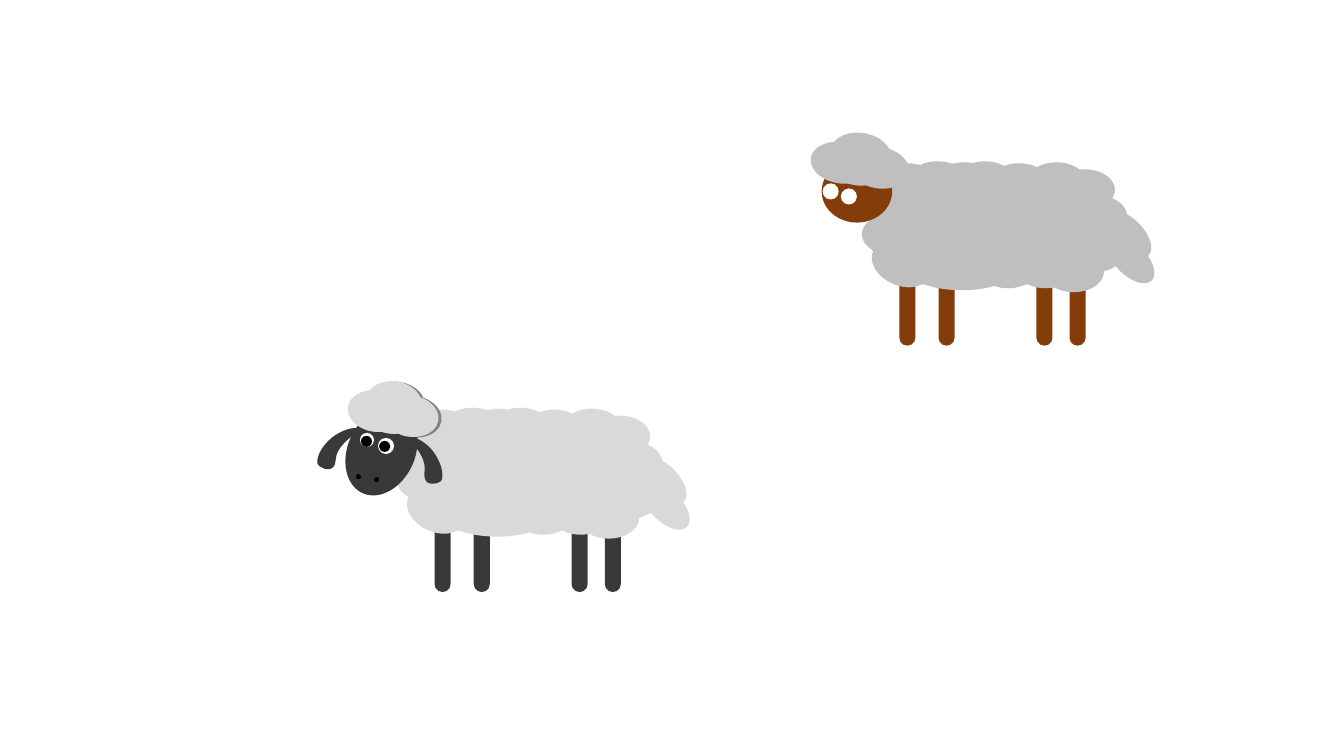
from dataclasses import dataclass

from pptx import Presentation
from pptx.dml.color import RGBColor
from pptx.enum.shapes import MSO_SHAPE
from pptx.util import Pt


@dataclass(frozen=True)
class Theme:
    brown: str = "843C0B"
    charcoal: str = "3B3838"
    grey_wool: str = "BFBFBF"
    pale_wool: str = "D9D9D9"
    shade: str = "808080"
    white: str = "FFFFFF"
    black: str = "000000"


THEME = Theme()
SLIDE_SIZE = (960, 540)
TUFT_SIZE = (43.2, 29.5)
LEG_LEFTS = (63.4, 91.4, 185, 161.3)
TOP_TUFTS = (
    (69.1, 20.2), (47.5, 21.6), (103, 20.2), (87.8, 20.9),
    (127.4, 21.6), (154.1, 20.9), (174.2, 25.9),
)
ROW_SHIFTS = ((0, 0), (-5.5, 13.9), (-10.8, 36))
LOWER_TUFTS = (
    (61.2, 77.8, 43.2, 0), (42.5, 79.2, 43.2, 26.1), (95, 78.5, 43.2, 0),
    (69.8, 82.8, 76.3, 0), (119.5, 81.4, 43.2, 0), (146.2, 81.4, 43.2, 0),
    (166.3, 84.2, 43.2, 0), (181.4, 69.8, 43.2, 0), (182.9, 44.6, 43.2, 0),
)
TAIL_TUFTS = ((205.2, 61.2), (207.4, 79.2))
CAP_TUFTS = ((12.2, 7.9), (27.4, 10.1), (0, 6.5), (14.4, 0))
RIGHT_EAR = (
    (56.2, 66.2), (54.7, 78.5), (67.7, 74.2), (68.4, 72),
    (69.8, 69.1), (69.1, 60.5), (62.6, 51.8),
    (56.9, 43.9), (46.8, 39.6), (45.4, 41.8),
    (44.6, 43.9), (58.3, 54), (56.2, 66.2),
)
LEFT_EAR = (
    (-7.2, 57.6), (-7.9, 69.1), (-20.2, 62.6), (-20.2, 59.8),
    (-20.9, 56.9), (-18.7, 49), (-10.1, 41.8),
    (-2.2, 35.3), (8.6, 33.1), (9.4, 36),
    (9.4, 38.2), (-6.5, 45.4), (-7.2, 57.6),
)
CURVE_STEPS = 12


def paint(shape, color):
    shape.shadow.inherit = False
    shape.fill.solid()
    shape.fill.fore_color.rgb = RGBColor.from_string(color)
    shape.line.fill.background()


def curve_points(controls):
    points = []
    for first in range(0, len(controls) - 1, 3):
        curve = controls[first:first + 4]
        for step in range(1, CURVE_STEPS + 1):
            t = step / CURVE_STEPS
            weights = ((1 - t) ** 3, 3 * t * (1 - t) ** 2, 3 * t * t * (1 - t), t ** 3)
            points.append(tuple(
                sum(weight * point[axis] for weight, point in zip(weights, curve))
                for axis in (0, 1)
            ))
    return points


class Sheep:
    def __init__(self, page, left, top, skin, wool):
        self.shapes = page.shapes.add_group_shape().shapes
        self.left, self.top = left, top
        self.skin, self.wool = skin, wool

    def add(self, kind, position, size, color, **format_values):
        left, top = position
        shape = self.shapes.add_shape(
            kind, Pt(self.left + left), Pt(self.top + top), *map(Pt, size)
        )
        paint(shape, color)
        for name, value in format_values.items():
            setattr(shape, name, value)
        return shape

    def oval(self, position, size, color, rotation=0):
        self.add(MSO_SHAPE.OVAL, position, size, color, rotation=rotation)

    def dots(self, positions, diameter, color):
        for position in positions:
            self.oval(position, (diameter, diameter), color)

    def bar(self, position, size, color, roundness):
        shape = self.add(MSO_SHAPE.ROUNDED_RECTANGLE, position, size, color)
        shape.adjustments[0] = roundness

    def body(self, under_color, chest):
        for left in LEG_LEFTS:
            self.bar((left, 64.8), (11.5, 87.1), self.skin, 0.5)
        self.bar((44.6, 26.6), (170, 81.4), under_color, 0.29)
        for shift_x, shift_y in ROW_SHIFTS:
            for left, top in TOP_TUFTS:
                self.oval((left + shift_x, top + shift_y), TUFT_SIZE, self.wool)
        for left, top, width, rotation in LOWER_TUFTS:
            self.oval((left, top), (width, TUFT_SIZE[1]), self.wool, rotation)
        for position in TAIL_TUFTS:
            self.oval(position, (42.5, 22.3), self.wool, 45.2)
        self.oval(chest, TUFT_SIZE, self.wool)

    def cap(self, corner, color, stretch=1.0):
        width, height = TUFT_SIZE
        for left, top in CAP_TUFTS:
            position = (corner[0] + left * stretch, corner[1] + top)
            self.oval(position, (width * stretch, height), color, 9.3)

    def ear(self, controls):
        start, *rest = [
            (Pt(self.left + x), Pt(self.top + y))
            for x, y in (controls[0], *curve_points(controls))
        ]
        outline = self.shapes.build_freeform(*start)
        outline.add_line_segments(rest, close=True)
        paint(outline.convert_to_shape(), self.skin)


def add_brown_sheep(page):
    sheep = Sheep(page, 579, 95, THEME.brown, THEME.grey_wool)
    sheep.body(THEME.brown, (25.2, 21.6))
    sheep.oval((7.9, 19.4), (50.4, 44.6), THEME.brown)
    sheep.cap((0, 0), THEME.grey_wool)
    sheep.dots(((21.6, 39.6), (8.6, 36)), 11.5, THEME.white)


def add_charcoal_sheep(page):
    sheep = Sheep(page, 247, 271, THEME.charcoal, THEME.pale_wool)
    sheep.body(THEME.pale_wool, (27.4, 23.8))
    sheep.cap((3.6, 1.8), THEME.shade, 0.92)
    sheep.oval((1.4, 18.7), (48.2, 65.5), THEME.charcoal, 24.3)
    sheep.dots(((23, 41.8),), 11.5, THEME.white)
    sheep.dots(((10.1, 38.2),), 10.1, THEME.white)
    sheep.dots(((23.8, 43.9), (10.8, 40.3)), 7.9, THEME.black)
    for controls in (RIGHT_EAR, LEFT_EAR):
        sheep.ear(controls)
    sheep.dots(((7.2, 67.7), (20.2, 69.8)), 3.6, THEME.black)
    sheep.cap((1.4, 1.4), THEME.pale_wool, 0.92)


def main():
    deck = Presentation()
    deck.slide_width, deck.slide_height = map(Pt, SLIDE_SIZE)
    page = deck.slides.add_slide(deck.slide_layouts[6])
    add_brown_sheep(page)
    add_charcoal_sheep(page)
    deck.save("out.pptx")


if __name__ == "__main__":
    main()
